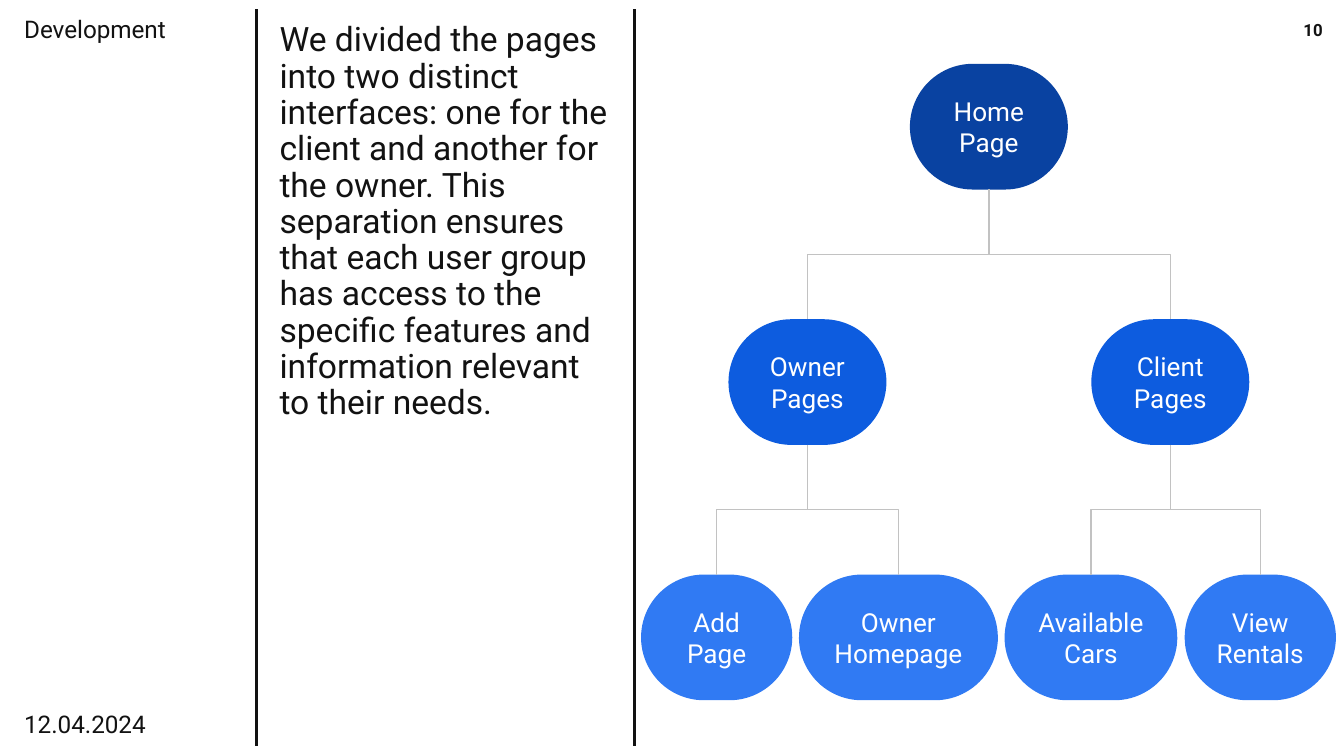
from lxml import etree
from pptx import Presentation
from pptx.dml.color import RGBColor
from pptx.enum.shapes import MSO_CONNECTOR, MSO_SHAPE
from pptx.enum.text import MSO_ANCHOR, MSO_AUTO_SIZE, PP_ALIGN
from pptx.oxml.ns import qn
from pptx.util import Pt

PX = 4572
FONT = "Roboto"
INK = "121212"
GREY = "C2C2C2"
WHITE = "FFFFFF"
LEFT, RIGHT, MID = PP_ALIGN.LEFT, PP_ALIGN.RIGHT, PP_ALIGN.CENTER
TOP, CENTER = MSO_ANCHOR.TOP, MSO_ANCHOR.MIDDLE
STRAIGHT, ELBOW = MSO_CONNECTOR.STRAIGHT, MSO_CONNECTOR.ELBOW
PILL = MSO_SHAPE.ROUNDED_RECTANGLE
FIXED = MSO_AUTO_SIZE.NONE

FILLS = ("0942A1", "0D5CDF", "307AF3")
NODES = {
    "Home Page": (400, 0, 235, None),
    "Owner Pages": (130, 1, 235, "Home Page"),
    "Client Pages": (670, 1, 235, "Home Page"),
    "Add Page": (0, 2, 225, "Owner Pages"),
    "Owner Homepage": (235, 2, 296, "Owner Pages"),
    "Available Cars": (541, 2, 257, "Client Pages"),
    "View Rentals": (809, 2, 225, "Client Pages"),
}
NODE_H = 187
PITCH = 380


def emu(*vals):
    return [round(v * PX) for v in vals]


def color(code):
    return RGBColor.from_string(code)


def write(shape, text, size, align=LEFT, anchor=TOP, ink=INK, lead=1.0, bold=False):
    frame = shape.text_frame
    frame.word_wrap = True
    frame.auto_size = FIXED
    frame.vertical_anchor = anchor
    frame.margin_left, frame.margin_top, frame.margin_right, frame.margin_bottom = emu(20, 20, 20, 20)
    frame.text = text
    para = frame.paragraphs[0]
    props = para._p.get_or_add_pPr()
    props.set("marL", "0")
    props.set("indent", "0")
    etree.SubElement(props, qn("a:buNone"))
    para.alignment = align
    para.line_spacing = lead
    para.space_before = Pt(0)
    font = para.font
    font.name, font.size, font.bold = FONT, Pt(size), bold
    font.color.rgb = color(ink)


def place(shape, box):
    shape.left, shape.top, shape.width, shape.height = emu(*box)


def draw(slide, kind, ends, code, width):
    line = slide.shapes.add_connector(kind, *emu(*ends))
    line.line.color.rgb = color(code)
    line.line.width = Pt(width)
    etree.SubElement(line._element.spPr, qn("a:effectLst"))
    return line


def branch(slide, start, end):
    (x0, y0), (x1, y1) = start, end
    mid_x, mid_y = (x0 + x1) / 2, (y0 + y1) / 2
    half_w, half_h = (x1 - x0) / 2, (y1 - y0) / 2
    ends = (mid_x - half_h, mid_y + half_w, mid_x + half_h, mid_y - half_w)
    line = draw(slide, ELBOW, ends, GREY, 0.75)
    line._element.spPr.find(qn("a:xfrm")).set("rot", "5400000")


def rules(slide, box):
    x, y, w, h = box
    for pos in (x, x + w):
        draw(slide, STRAIGHT, (pos, y + h, pos, y), INK, 1.5)


def side(slide, box):
    x, y, w, h = box
    title, date = slide.shapes.title, slide.placeholders[2]
    place(title, (x, y, w, 68))
    write(title, "Development", 13, lead=0.8)
    place(date, (x, y + h - 68, w, 68))
    write(date, "12.04.2024", 13, lead=0.8)


def story(slide, box):
    body = slide.placeholders[1]
    place(body, box)
    write(body, "We divided the pages into two distinct interfaces: one for the "
          "client and another for the owner. This separation ensures that each "
          "user group has access to the specific features and information "
          "relevant to their needs.", 18, lead=0.9)


def number(slide, box):
    write(slide.shapes.add_textbox(*emu(*box)), "10", 9, align=RIGHT, bold=True)


def tree(slide, x, y):
    feet = {}
    for name, (left, row, wide, above) in NODES.items():
        top = y + row * PITCH
        pill = slide.shapes.add_shape(PILL, *emu(x + left, top, wide, NODE_H))
        pill.adjustments[0] = 0.5
        pill.shadow.inherit = False
        pill.fill.solid()
        pill.fill.fore_color.rgb = color(FILLS[row])
        pill.line.fill.background()
        write(pill, name, 14, align=MID, anchor=CENTER, ink=WHITE)
        mid = x + left + wide / 2
        feet[name] = (mid, top + NODE_H)
        if above:
            branch(slide, feet[above], (mid, top))


def main():
    deck = Presentation()
    deck.slide_width, deck.slide_height = emu(2000, 1125)
    slide = deck.slides.add_slide(deck.slide_layouts[3])
    rules(slide, (382, 14, 562, 1096))
    side(slide, (16, 10, 336, 1102))
    story(slide, (396, 14, 532, 258))
    number(slide, (1868, 10, 120, 86))
    tree(slide, 954, 95)
    deck.save("out.pptx")


if __name__ == "__main__":
    main()
